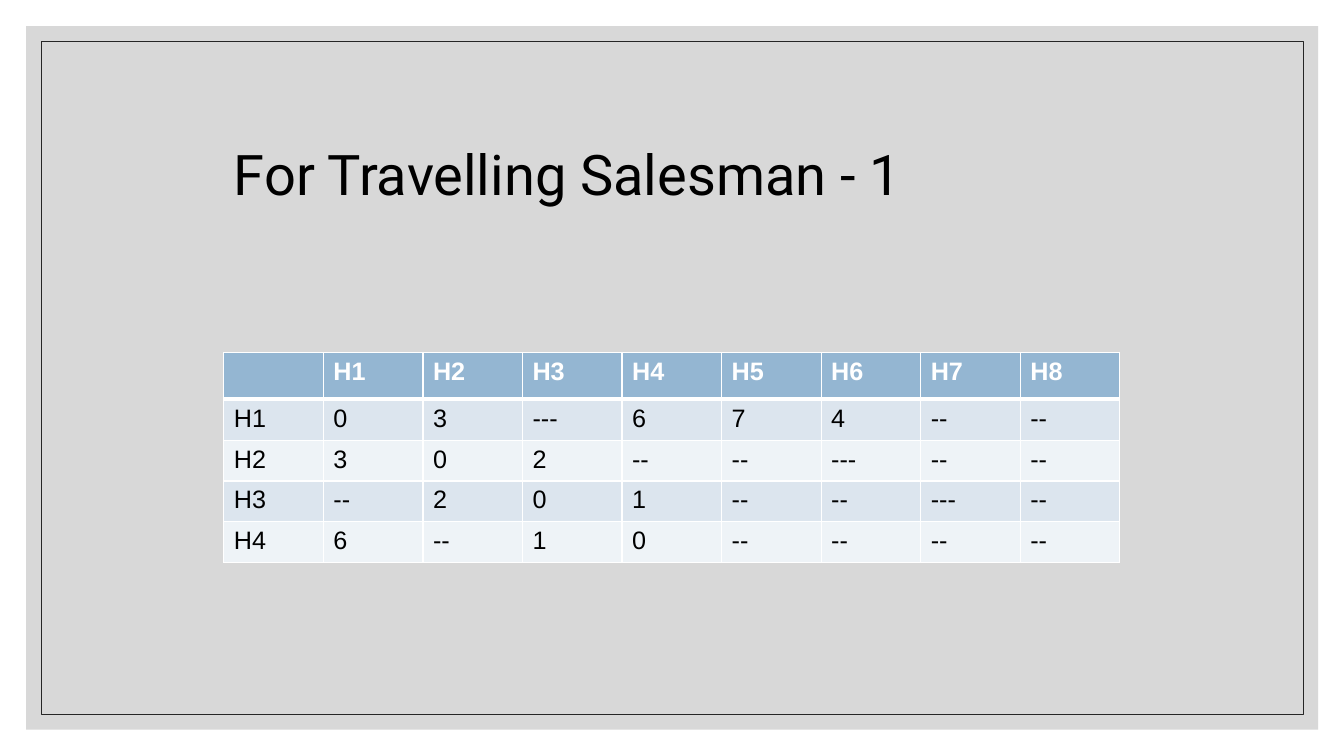
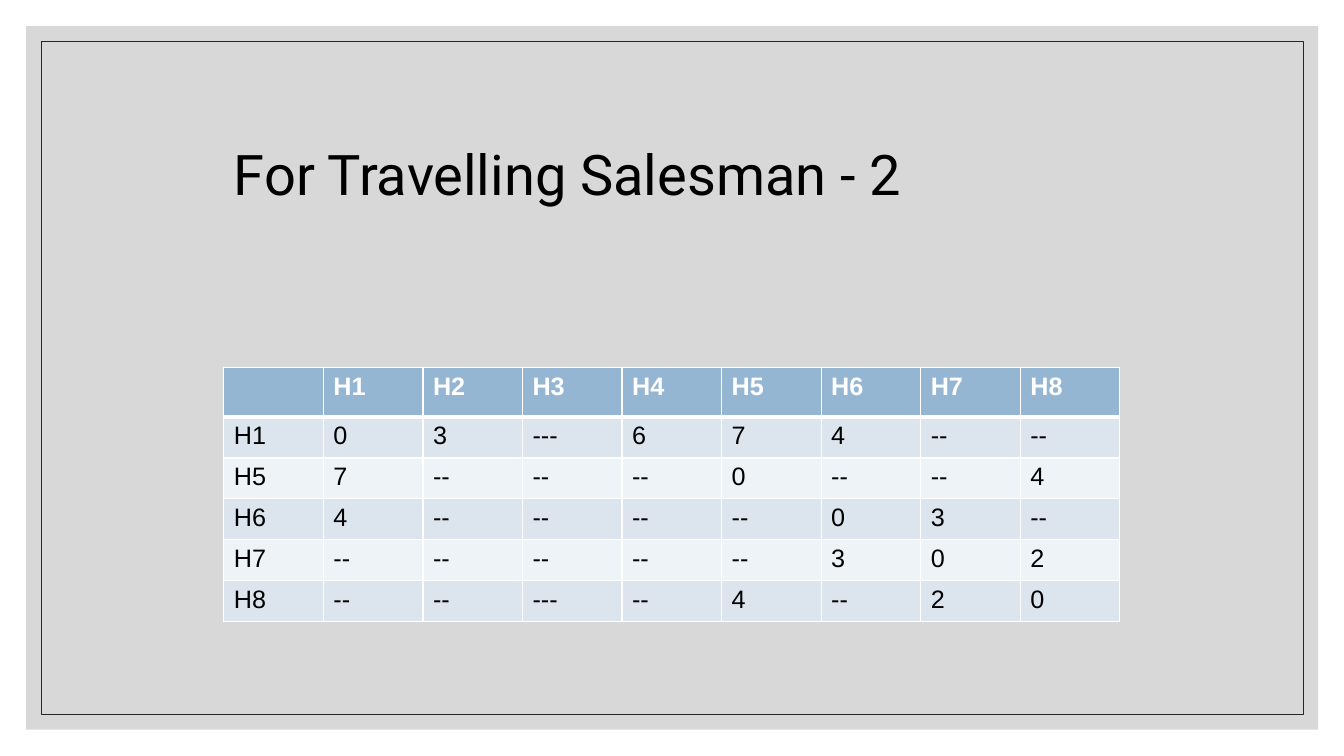
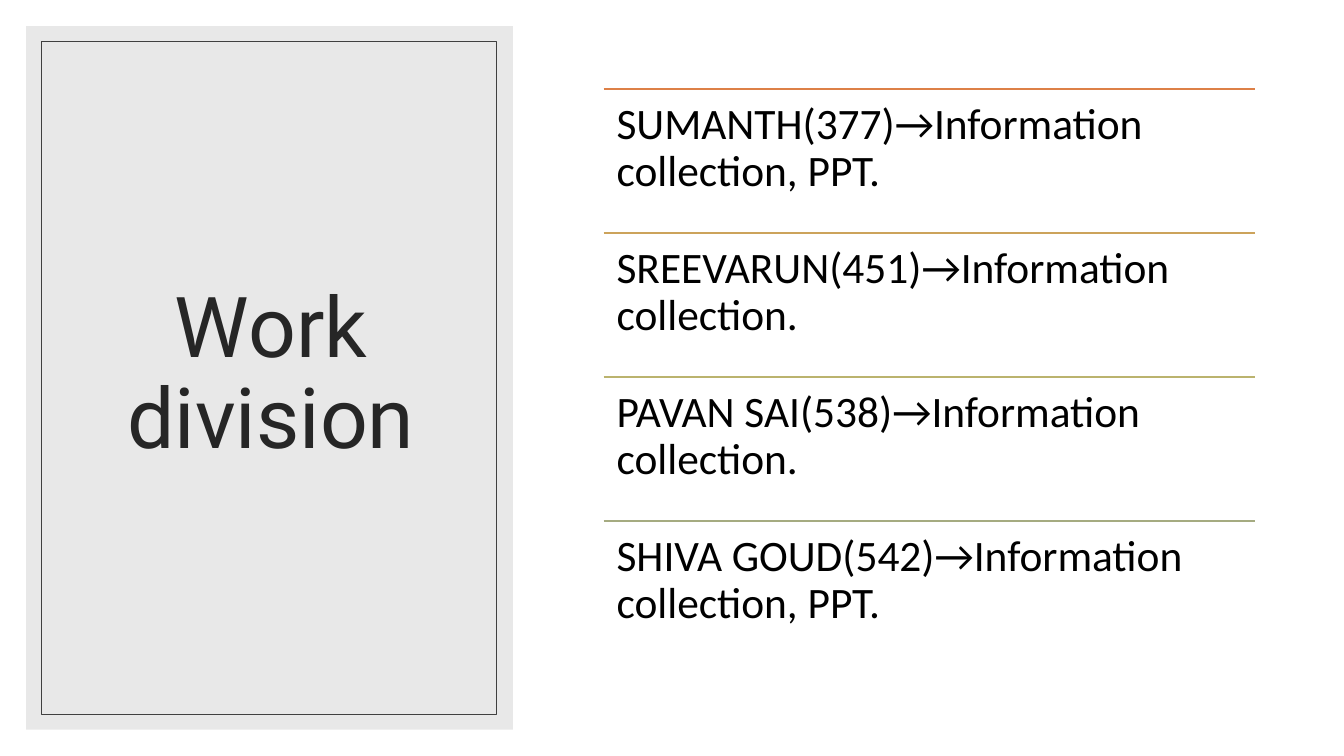
"""Build three slides: two travelling salesman tables and the work division."""
from dataclasses import dataclass

from lxml.etree import SubElement
from pptx import Presentation
from pptx.dml.color import RGBColor
from pptx.enum.shapes import MSO_CONNECTOR, MSO_SHAPE
from pptx.enum.text import MSO_ANCHOR, MSO_AUTO_SIZE, PP_ALIGN
from pptx.oxml.ns import qn
from pptx.util import Cm, Pt


@dataclass(frozen=True)
class Theme:
    white: str = "FFFFFF"
    black: str = "000000"
    panel: str = "BFBFBF"
    side_panel: str = "D9D9D9"
    frame: str = "262626"
    side_frame: str = "404040"
    header: str = "94B6D2"
    bands: tuple = ("DCE5EE", "EEF3F7")
    rules: tuple = ("DD8047", "CCA35B", "BBB36E", "A5AB81")
    title_font: str = "Roboto"
    table_font: str = "Arial"
    list_font: str = "Calibri"
    title_size: int = 40
    side_title_size: int = 60
    table_size: int = 18
    list_size: int = 31
    panel_alpha: int = 60


theme = Theme()


def write(text_frame, text, font, size, color, bold=False, align=PP_ALIGN.LEFT,
          spacing=1.0, anchor=MSO_ANCHOR.TOP, margin=None):
    text_frame.word_wrap = True
    text_frame.vertical_anchor = anchor
    if margin is not None:
        text_frame.margin_left = text_frame.margin_right = margin
        text_frame.margin_top = text_frame.margin_bottom = margin
    para = text_frame.paragraphs[0]
    para.alignment = align
    para.line_spacing = spacing
    span = para.add_run()
    span.text = text
    span.font.name = font
    span.font.size = Pt(size)
    span.font.bold = bold
    span.font.color.rgb = RGBColor.from_string(color)


def add_page(panel_width, frame_width, panel_color, frame_color, title_box):
    page = deck.slides.add_slide(deck.slide_layouts[5])
    panel = page.shapes.add_shape(MSO_SHAPE.RECTANGLE, Cm(0.66), Cm(0.66), panel_width, Cm(17.73))
    panel.shadow.inherit = False
    panel.fill.solid()
    panel.fill.fore_color.rgb = RGBColor.from_string(panel_color)
    color = panel.element.spPr.find(".//" + qn("a:srgbClr"))
    SubElement(color, qn("a:alpha"), val=str(theme.panel_alpha * 1000))
    panel.line.fill.background()

    frame = page.shapes.add_shape(MSO_SHAPE.RECTANGLE, Cm(1.04), Cm(1.04), frame_width, Cm(16.97))
    frame.shadow.inherit = False
    frame.fill.background()
    frame.line.color.rgb = RGBColor.from_string(frame_color)
    frame.line.width = Pt(0.5)

    title = page.shapes.title
    title.left, title.top, title.width, title.height = title_box
    title.text_frame.auto_size = MSO_AUTO_SIZE.NONE
    title.element.getparent().append(title.element)
    return page


deck = Presentation()
deck.slide_width, deck.slide_height = Cm(33.87), Cm(19.05)

column_names = ["", "H1", "H2", "H3", "H4", "H5", "H6", "H7", "H8"]
column_width, row_height = Cm(2.51), Cm(1.03)
table_left, table_width = Cm(5.64), column_width * len(column_names)
distance_tables = [
    ("For Travelling Salesman - 1", Cm(8.89), Cm(1.17), [
        "H1 0 3 --- 6 7 4 -- --",
        "H2 3 0 2 -- -- --- -- --",
        "H3 -- 2 0 1 -- -- --- --",
        "H4 6 -- 1 0 -- -- -- --",
    ]),
    ("For Travelling Salesman - 2", Cm(9.27), Cm(1.24), [
        "H1 0 3 --- 6 7 4 -- --",
        "H5 7 -- -- -- 0 -- -- 4",
        "H6 4 -- -- -- -- 0 3 --",
        "H7 -- -- -- -- -- 3 0 2",
        "H8 -- -- --- -- 4 -- 2 0",
    ]),
]

for title_text, table_top, header_height, lines in distance_tables:
    page = add_page(Cm(32.56), Cm(31.8), theme.panel, theme.frame,
                    (table_left, Cm(3.38), table_width, Cm(1.96)))
    write(page.shapes.title.text_frame, title_text, font=theme.title_font,
          size=theme.title_size, color=theme.black)

    rows = [column_names] + [line.split() for line in lines]
    table = page.shapes.add_table(len(rows), len(column_names), table_left, table_top, table_width,
                                  header_height + row_height * len(lines)).table
    for column in table.columns:
        column.width = column_width
    for row_index, values in enumerate(rows):
        is_header = row_index == 0
        table.rows[row_index].height = header_height if is_header else row_height
        fill_color = theme.header if is_header else theme.bands[(row_index - 1) % 2]
        borders = {"a:lnL": 1, "a:lnR": 1, "a:lnT": 1, "a:lnB": 3 if is_header else 1}
        if row_index == 1:
            borders["a:lnT"] = 3
        for column_index, value in enumerate(values):
            cell = table.cell(row_index, column_index)
            properties = cell._tc.get_or_add_tcPr()
            for edge, points in borders.items():
                border = SubElement(properties, qn(edge), w=str(Pt(points)))
                border_fill = SubElement(border, qn("a:solidFill"))
                SubElement(border_fill, qn("a:srgbClr"), val=theme.white)
            cell.fill.solid()
            cell.fill.fore_color.rgb = RGBColor.from_string(fill_color)
            if value:
                write(cell.text_frame, value, font=theme.table_font, size=theme.table_size,
                      color=theme.white if is_header else theme.black, bold=is_header)

page = add_page(Cm(12.27), Cm(11.46), theme.side_panel, theme.side_frame,
                (Cm(1.6), Cm(1.55), Cm(10.46), Cm(15.85)))
write(page.shapes.title.text_frame, "Work division", font=theme.title_font,
      size=theme.side_title_size, color=theme.frame, align=PP_ALIGN.CENTER,
      spacing=0.9, anchor=MSO_ANCHOR.MIDDLE)

tasks = [
    "SUMANTH(377)→Information collection, PPT.",
    "SREEVARUN(451)→Information collection.",
    "PAVAN SAI(538)→Information collection.",
    "SHIVA GOUD(542)→Information collection, PPT.",
]
list_left, list_top, list_width, task_height = Cm(15.21), Cm(2.24), Cm(16.41), Cm(3.63)
for index, (task, rule_color) in enumerate(zip(tasks, theme.rules)):
    top = list_top + index * task_height
    rule = page.shapes.add_connector(MSO_CONNECTOR.STRAIGHT, list_left, top, list_left + list_width, top)
    rule.line.color.rgb = RGBColor.from_string(rule_color)
    rule.line.width = Pt(1)
    SubElement(rule.element.spPr, qn("a:effectLst"))
    box = page.shapes.add_textbox(list_left, top, list_width, task_height)
    write(box.text_frame, task, font=theme.list_font, size=theme.list_size,
          color=theme.black, spacing=0.9, margin=Cm(0.33))

deck.save("out.pptx")
